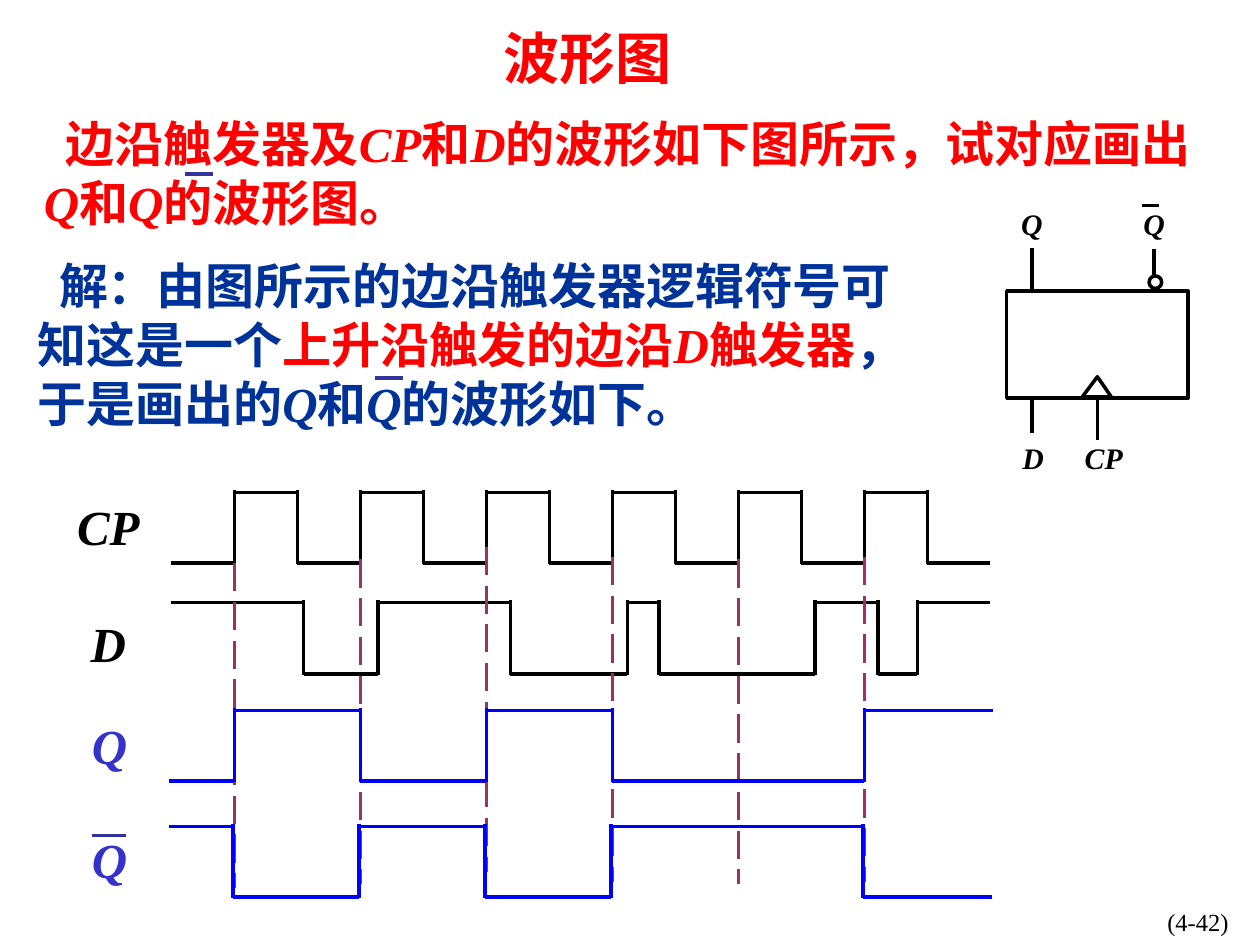
from pptx import Presentation
from pptx.dml.color import RGBColor
from pptx.enum.dml import MSO_LINE
from pptx.enum.shapes import MSO_CONNECTOR, MSO_SHAPE
from pptx.enum.text import PP_ALIGN as Align
from pptx.oxml.ns import qn
from pptx.util import Inches, Pt
from lxml import etree

ROMAN = "Times New Roman"
HAN = "Noto Sans CJK SC"
BLACK, WHITE, RED, NAVY = "000000", "FFFFFF", "FF0000", "003399"
BAR, PLUM, BLUE, VIOLET = "333399", "993366", "0000FF", "3333CC"
RISES = [1.86 + n for n in range(6)]


def color(code):
    return RGBColor.from_string(code)


def add_run(para, text, size, code, font=ROMAN, bold=True, slant=False):
    run = para.add_run()
    run.text = text
    face = run.font
    face.size, face.bold, face.italic = Pt(size), bold, slant
    face.color.rgb = color(code)
    face.name = font
    props = run._r.get_or_add_rPr()
    east = etree.SubElement(props, qn("a:ea"))
    east.set("typeface", HAN)


def add_box(slide, at, pad=True, align=Align.LEFT):
    frame = slide.shapes.add_textbox(*map(Inches, at)).text_frame
    frame.word_wrap = True
    side, edge = (0.1, 0.05) if pad else (0, 0)
    frame.margin_left = frame.margin_right = Inches(side)
    frame.margin_top = frame.margin_bottom = Inches(edge)
    para = frame.paragraphs[0]
    para.alignment = align
    return para


def add_label(slide, text, at, size, code=BLACK):
    para = add_box(slide, at, pad=False, align=Align.CENTER)
    add_run(para, text, size, code, slant=True)


def add_text(slide, at, parts):
    """Fill an indented paragraph; Latin signal names are slanted."""
    para = add_box(slide, at)
    para._p.get_or_add_pPr().set("indent", str(Inches(0.17)))
    for text, code in parts:
        name = text.isascii()
        add_run(para, text, 28, code, ROMAN if name else HAN, slant=name)


def add_line(slide, x1, y1, x2, y2, code=BLACK, width=2, dash=None):
    line = slide.shapes.add_connector(
        MSO_CONNECTOR.STRAIGHT, *map(Inches, (x1, y1, x2, y2)))
    line.line.color.rgb = color(code)
    line.line.width = Pt(width)
    if dash:
        line.line.dash_style = dash
    etree.SubElement(line._element.spPr, qn("a:effectLst"))


def paint(shape):
    shape.shadow.inherit = False
    shape.fill.solid()
    shape.fill.fore_color.rgb = color(WHITE)
    shape.line.color.rgb = color(BLACK)
    shape.line.width = Pt(2)


def add_wave(slide, start, end, edges, high, low, up=False, code=BLACK):
    """Draw a signal that toggles at each edge."""
    stops = [start, *edges, end]
    for left, right in zip(stops, stops[1:]):
        level = high if up else low
        add_line(slide, left, level, right, level, code)
        up = not up
    for x in edges:
        add_line(slide, x, high - 0.02, x, low + 0.01, code)


def add_symbol(slide):
    # Pins
    add_line(slide, 9.16, 1.98, 9.16, 3.06)
    add_line(slide, 8.71, 2.88, 8.71, 3.49)
    add_line(slide, 8.19, 1.97, 8.19, 3.44)
    # Body, inverting circle and clock wedge
    for kind, at in ((MSO_SHAPE.RECTANGLE, (7.99, 2.31, 1.44, 0.85)),
                     (MSO_SHAPE.OVAL, (9.12, 2.19, 0.1, 0.1))):
        paint(slide.shapes.add_shape(kind, *map(Inches, at)))
    pen = slide.shapes.build_freeform(Inches(8.71), Inches(2.99))
    pen.add_line_segments([(Inches(8.59), Inches(3.15)),
                           (Inches(8.82), Inches(3.15))], close=True)
    paint(pen.convert_to_shape())
    # Pin names, centred on x
    for text, x, y in (("Q", 8.19, 1.63), ("Q", 9.16, 1.63),
                       ("CP", 8.76, 3.49), ("D", 8.2, 3.49)):
        add_label(slide, text, (x - 0.22, y, 0.44, 0.28), 17)
    add_line(slide, 9.06, 1.63, 9.2, 1.63, width=1.39)


def add_chart(slide):
    # Clock and data
    clock = [x + half for x in RISES for half in (0, 0.5)]
    data = [2.41, 3, 4.05, 4.98, 5.23, 6.47, 6.97, 7.28]
    add_wave(slide, 1.36, 7.86, clock, 3.91, 4.47)
    add_wave(slide, 1.36, 7.86, data, 4.78, 5.35, up=True)
    # Rising edge guides
    for x, top in zip(RISES, (4.47, 4.44, 4.34, 4.42, 4.44, 4.42)):
        add_line(slide, x, top, x, top + 2.58, PLUM, dash=MSO_LINE.LONG_DASH)
    # Outputs: no change at the fifth rise
    flips = RISES[:4] + RISES[5:]
    add_wave(slide, 1.34, 7.88, flips, 5.64, 6.2, code=BLUE)
    add_wave(slide, 1.34, 7.87, [x - 0.01 for x in flips], 6.56, 7.12,
             up=True, code=BLUE)
    # Signal names
    for text, x, y, code in (("CP", 0.57, 3.94, BLACK), ("D", 0.57, 4.87, BLACK),
                             ("Q", 0.58, 5.68, VIOLET), ("Q", 0.58, 6.58, VIOLET)):
        add_label(slide, text, (x, y, 0.58, 0.47), 28, code)
    add_line(slide, 0.73, 6.63, 1, 6.63, BAR)


def main():
    deck = Presentation()
    deck.slide_width, deck.slide_height = Inches(10), Inches(7.5)
    slide = deck.slides.add_slide(deck.slide_layouts[6])

    # Page number and title
    page = add_box(slide, (7.77, 7.15, 2.08, 0.5), align=Align.RIGHT)
    add_run(page, "(4-42)", 14, BLACK, bold=False)
    title = add_box(slide, (2.52, 0.14, 4.28, 0.64), align=Align.CENTER)
    add_run(title, "波形图", 32, RED)

    add_symbol(slide)

    # Task and answer, with bars over the inverted Q
    add_text(slide, (0.25, 0.85, 9.48, 1.04), [
        ("边沿触发器及", RED), ("CP", RED), ("和", RED), ("D", RED),
        ("的波形如下图所示，试对应画出", RED), ("Q", RED), ("和", RED),
        ("Q", RED), ("的波形图。", RED)])
    add_line(slide, 1.47, 1.38, 1.69, 1.38, BAR)
    add_text(slide, (0.2, 1.98, 7.35, 1.5), [
        ("解：由图所示的边沿触发器逻辑符号可知这是一个", NAVY),
        ("上升沿触发的边沿", RED), ("D", RED), ("触发器", RED),
        ("，于是画出的", NAVY), ("Q", NAVY), ("和", NAVY), ("Q", NAVY),
        ("的波形如下。", NAVY)])
    add_line(slide, 2.98, 3, 3.2, 3, BAR)

    add_chart(slide)
    deck.save("out.pptx")


if __name__ == "__main__":
    main()
